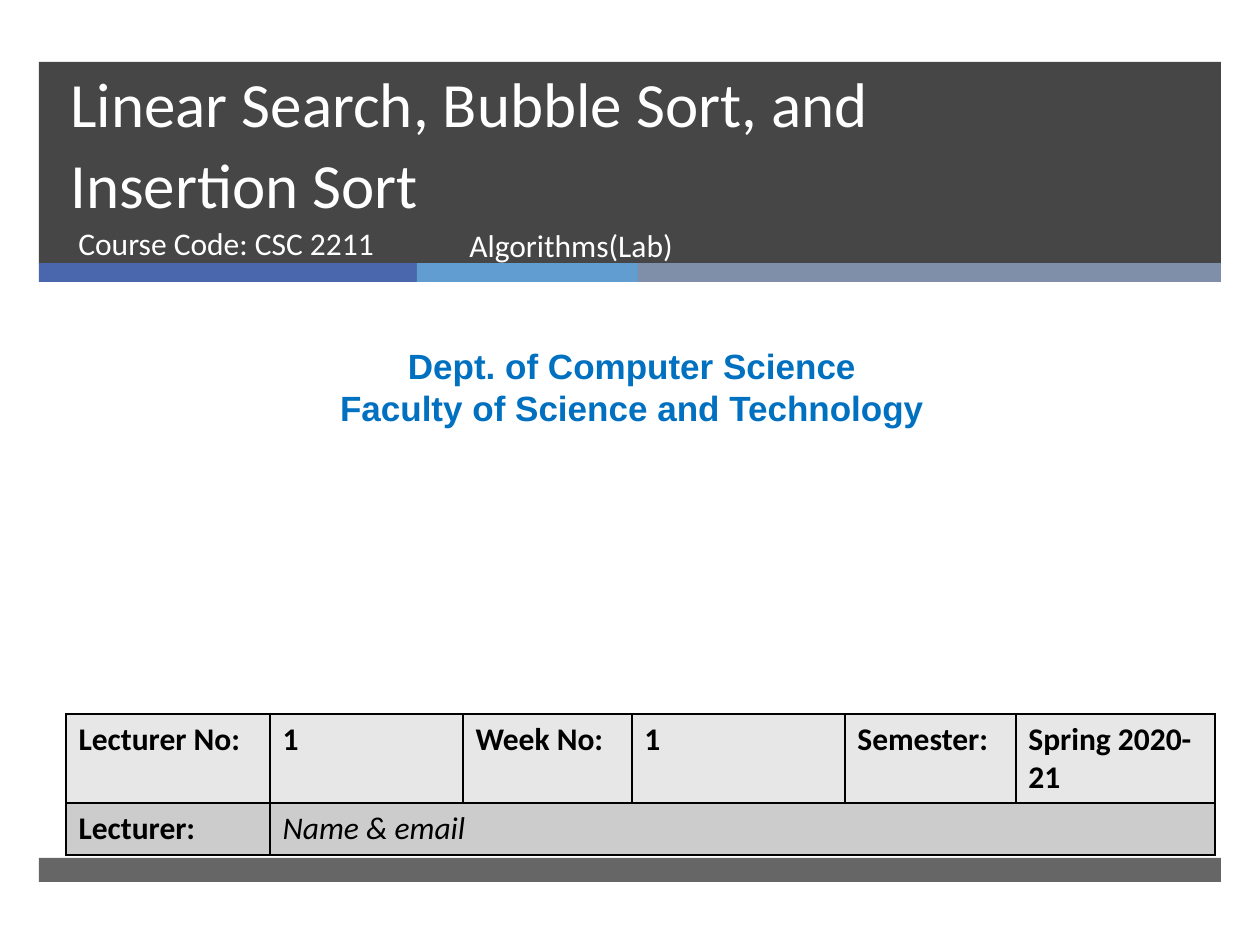
from pptx import Presentation
from pptx import util as u
from pptx.dml.color import RGBColor
from pptx.enum import shapes, text
from pptx.oxml import parse_xml
from pptx.oxml.ns import nsdecls, qn
from lxml import etree

PX = 914400 // 126
WHITE, BLACK, BLUE = "FFFFFF", "000000", "0070C0"

# left, top, width, height, colour, opacity in percent
BANDS = [
    (39, 62, 1182, 202, "262626", 85),
    (39, 263, 378, 19, "4A66AC", 100),
    (417, 263, 221, 19, "629DD1", 100),
    (638, 263, 583, 19, "7F8FA9", 100),
    (39, 858, 1182, 24, "262626", 70),
]

# box, lines, style
TEXTS = [
    ((58, 77, 1110, 150), ["Linear Search, Bubble Sort, and", "Insertion Sort"],
     dict(size=36, spacing=46, anchor=text.MSO_ANCHOR.BOTTOM)),
    ((66, 218, 384, 67), ["Course Code: CSC 2211"], dict(size=18)),
    ((10, 338, 1244, 97), ["Dept. of Computer Science", "Faculty of Science and Technology"],
     dict(size=20, spacing=24, name="Arial", color=BLUE, bold=True,
          align=text.PP_ALIGN.CENTER)),
    ((457, 220, 573, 67), ["Algorithms(Lab)"], dict(size=18)),
]

TABLE_LEFT, TABLE_TOP = 66, 714
COLUMNS = [204, 193, 169, 213, 171, 199]
ROWS = [
    (89, "E7E7E7", ["Lecturer No:", "1", "Week No:", "1", "Semester:", "Spring 2020-21"]),
    (52, "CCCCCC", ["Lecturer:", "Name & email", "", "", "", ""]),
]


def rgb(value):
    return RGBColor.from_string(value)


def emu(*lengths):
    return [u.Emu(length * PX) for length in lengths]


def set_font(para, size, name="Calibri", color=WHITE, bold=False, italic=False):
    font = para.font
    font.size, font.name, font.bold, font.italic = u.Pt(size), name, bold, italic
    font.color.rgb = rgb(color)


def add_band(page, left, top, width, height, color, opacity):
    band = page.shapes.add_shape(shapes.MSO_SHAPE.RECTANGLE, *emu(left, top, width, height))
    band.shadow.inherit = False
    band.fill.solid()
    band.fill.fore_color.rgb = rgb(color)
    band.line.fill.background()
    if opacity < 100:
        color_node = band.fill._xPr.find(qn("a:solidFill"))[0]
        etree.SubElement(color_node, qn("a:alpha"), val=str(opacity * 1000))


def add_text(page, place, lines, size, spacing=None, anchor=text.MSO_ANCHOR.TOP,
             align=text.PP_ALIGN.LEFT, **font):
    frame = page.shapes.add_textbox(*emu(*place)).text_frame
    frame.word_wrap = True
    frame.vertical_anchor = anchor
    frame.text = "\n".join(lines)
    for para in frame.paragraphs:
        para.alignment = align
        if spacing:
            para.line_spacing = u.Pt(spacing)
        set_font(para, size, **font)


def style_cell(cell, fill):
    cell.fill.solid()
    cell.fill.fore_color.rgb = rgb(fill)
    properties = cell._tc.get_or_add_tcPr()
    for index, side in enumerate(("lnL", "lnR", "lnT", "lnB")):
        properties.insert(index, parse_xml(
            f'<a:{side} {nsdecls("a")} w="12700"><a:solidFill>'
            f'<a:srgbClr val="{BLACK}"/></a:solidFill></a:{side}>'))


def add_details(page):
    heights = [row[0] for row in ROWS]
    place = emu(TABLE_LEFT, TABLE_TOP, sum(COLUMNS), sum(heights))
    table = page.shapes.add_table(len(ROWS), len(COLUMNS), *place).table
    for column, width in zip(table.columns, emu(*COLUMNS)):
        column.width = width
    for row, height in zip(table.rows, emu(*heights)):
        row.height = height
    for r, (_, fill, labels) in enumerate(ROWS):
        for c, label in enumerate(labels):
            cell = table.cell(r, c)
            cell.text = label
            style_cell(cell, fill)
            is_name = r == 1 and c == 1
            set_font(cell.text_frame.paragraphs[0], 18, color=BLACK,
                     bold=not is_name, italic=is_name)
    table.cell(1, 1).merge(table.cell(1, len(COLUMNS) - 1))


def main():
    deck = Presentation()
    deck.slide_width, deck.slide_height = u.Inches(10), u.Inches(7.5)
    page = deck.slides.add_slide(deck.slide_layouts[6])
    for band in BANDS:
        add_band(page, *band)
    for place, lines, style in TEXTS:
        add_text(page, place, lines, **style)
    add_details(page)
    deck.save("out.pptx")


if __name__ == "__main__":
    main()
